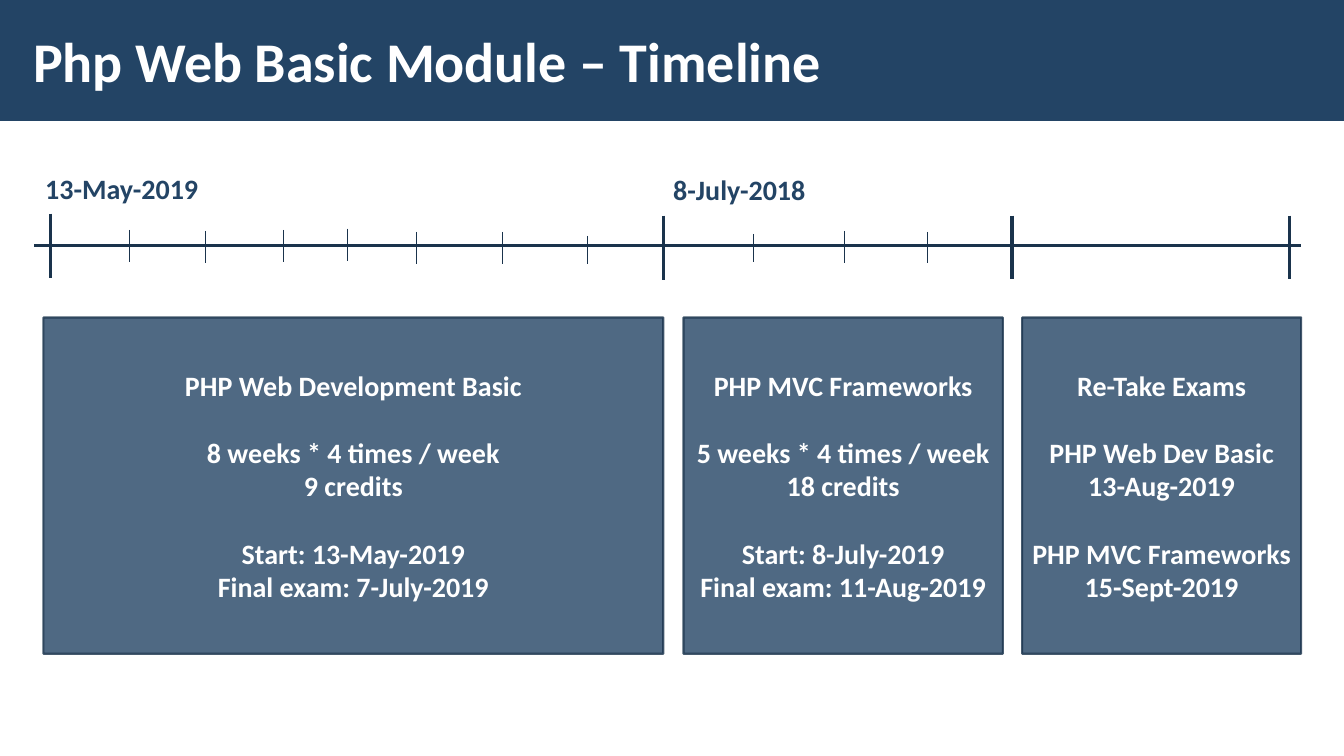
from dataclasses import dataclass

from pptx import Presentation
from pptx.dml.color import RGBColor
from pptx.enum.shapes import MSO_CONNECTOR, MSO_SHAPE
from pptx.enum.text import MSO_ANCHOR, PP_ALIGN
from pptx.oxml.ns import qn
from pptx.oxml.xmlchemy import OxmlElement
from pptx.slide import Slide
from pptx.text.text import TextFrame
from pptx.util import Pt

STRAIGHT = MSO_CONNECTOR.STRAIGHT
RECTANGLE = MSO_SHAPE.RECTANGLE
MIDDLE = MSO_ANCHOR.MIDDLE
LEFT = PP_ALIGN.LEFT
CENTER = PP_ALIGN.CENTER


@dataclass(frozen=True)
class Theme:
    font: str = "Calibri"
    navy: RGBColor = RGBColor(0x23, 0x44, 0x65)
    ink: RGBColor = RGBColor(0x1A, 0x33, 0x4C)
    white: RGBColor = RGBColor(0xFF, 0xFF, 0xFF)
    title_size: float = 40
    body_size: float = 20
    group_gap: float = 24
    major_line: float = 2.25
    minor_line: float = 0.5
    outline: float = 1.5
    opacity_percent: int = 80


@dataclass(frozen=True)
class Tick:
    x: float
    top: float
    height: float = 23
    weight: float = 0.5


@dataclass(frozen=True)
class DateLabel:
    text: str
    left: float
    top: float
    width: float


@dataclass(frozen=True)
class Course:
    left: float
    width: float
    groups: tuple[tuple[str, ...], ...]


THEME = Theme()
SLIDE_WIDTH, SLIDE_HEIGHT = 960, 540
HEADER_HEIGHT = 86.4
AXIS_LEFT, AXIS_RIGHT, AXIS_Y = 24.5, 929.5, 175.5
COURSE_TOP, COURSE_HEIGHT = 226.8, 240.2

TERM_TICKS = (
    Tick(36, 152.6, 46, THEME.major_line),
    Tick(473.8, 154.1, 46, THEME.major_line),
    Tick(722.9, 154.1, 45.4, THEME.major_line),
    Tick(920.9, 154.1, 45.4, THEME.major_line),
)
WEEK_TICKS = (
    Tick(92.2, 164.2),
    Tick(146.9, 164.9),
    Tick(202.3, 164.2),
    Tick(248.4, 163.4),
    Tick(297.4, 165.6),
    Tick(358.6, 165.6),
    Tick(419.8, 168.5, 20.2),
    Tick(537.8, 167, 20.2),
    Tick(603.4, 164.9),
    Tick(662.4, 165.6, 22.3),
)
DATE_LABELS = (
    DateLabel("13-May-2019", 25.2, 118.8, 125.3),
    DateLabel("8-July-2018", 473.8, 119.5, 110.2),
)
COURSES = (
    Course(31, 442.8, (
        ("PHP Web Development Basic",),
        ("8 weeks * 4 times / week", "9 credits"),
        ("Start: 13-May-2019", "Final exam: 7-July-2019"),
    )),
    Course(488.2, 228.2, (
        ("PHP MVC Frameworks",),
        ("5 weeks * 4 times / week", "18 credits"),
        ("Start: 8-July-2019", "Final exam: 11-Aug-2019"),
    )),
    Course(730.1, 199.4, (
        ("Re-Take Exams",),
        ("PHP Web Dev Basic", "13-Aug-2019"),
        ("PHP MVC Frameworks", "15-Sept-2019"),
    )),
)


def style_text(frame: TextFrame, size: float, color: RGBColor, align: PP_ALIGN) -> None:
    for paragraph in frame.paragraphs:
        paragraph.alignment = align
        for run in paragraph.runs:
            run.font.name = THEME.font
            run.font.size = Pt(size)
            run.font.bold = True
            run.font.color.rgb = color


def draw_header(slide: Slide, title: str) -> None:
    band = slide.shapes.add_shape(RECTANGLE, 0, 0, Pt(SLIDE_WIDTH), Pt(HEADER_HEIGHT))
    band.shadow.inherit = False
    band.fill.solid()
    band.fill.fore_color.rgb = THEME.navy
    band.line.fill.background()

    heading = slide.shapes.add_textbox(Pt(15.1), Pt(7.9), Pt(748), Pt(69.8)).text_frame
    heading.text = title
    heading.word_wrap = True
    heading.vertical_anchor = MIDDLE
    heading.margin_left = heading.margin_right = Pt(8.6)
    heading.margin_top = heading.margin_bottom = Pt(2.9)
    style_text(heading, THEME.title_size, THEME.white, LEFT)


def draw_line(slide: Slide, x1: float, y1: float, x2: float, y2: float, weight: float) -> None:
    connector = slide.shapes.add_connector(STRAIGHT, Pt(x1), Pt(y1), Pt(x2), Pt(y2))
    connector.line.color.rgb = THEME.ink
    connector.line.width = Pt(weight)
    connector._element.spPr.append(OxmlElement("a:effectLst"))


def draw_date(slide: Slide, label: DateLabel) -> None:
    date = slide.shapes.add_textbox(
        Pt(label.left), Pt(label.top), Pt(label.width), Pt(31.7)).text_frame
    date.text = label.text
    date.word_wrap = False
    style_text(date, THEME.body_size, THEME.navy, LEFT)


def draw_course(slide: Slide, course: Course) -> None:
    panel = slide.shapes.add_shape(
        RECTANGLE, Pt(course.left), Pt(COURSE_TOP), Pt(course.width), Pt(COURSE_HEIGHT))
    panel.shadow.inherit = False
    panel.fill.solid()
    panel.fill.fore_color.rgb = THEME.navy
    panel.line.color.rgb = THEME.ink
    panel.line.width = Pt(THEME.outline)
    # Fill and outline share one opacity
    for color in panel._element.spPr.iter(qn("a:srgbClr")):
        alpha = OxmlElement("a:alpha")
        alpha.set("val", str(THEME.opacity_percent * 1000))
        color.append(alpha)

    details = panel.text_frame
    details.text = "\n".join(line for group in course.groups for line in group)
    details.word_wrap = True
    details.vertical_anchor = MIDDLE
    details.margin_left = details.margin_right = Pt(5)
    style_text(details, THEME.body_size, THEME.white, CENTER)
    # Open a gap above every group after the first
    group_start = 0
    for group in course.groups[:-1]:
        group_start += len(group)
        details.paragraphs[group_start].space_before = Pt(THEME.group_gap)


def main() -> None:
    deck = Presentation()
    deck.slide_width, deck.slide_height = Pt(SLIDE_WIDTH), Pt(SLIDE_HEIGHT)
    slide = deck.slides.add_slide(deck.slide_layouts[6])

    # Header
    draw_header(slide, "Php Web Basic Module – Timeline")

    # Timeline
    draw_line(slide, AXIS_LEFT, AXIS_Y, AXIS_RIGHT, AXIS_Y, THEME.major_line)
    for tick in TERM_TICKS + WEEK_TICKS:
        draw_line(slide, tick.x, tick.top, tick.x, tick.top + tick.height, tick.weight)
    for label in DATE_LABELS:
        draw_date(slide, label)

    # Course panels
    for course in COURSES:
        draw_course(slide, course)

    deck.save("out.pptx")


if __name__ == "__main__":
    main()
